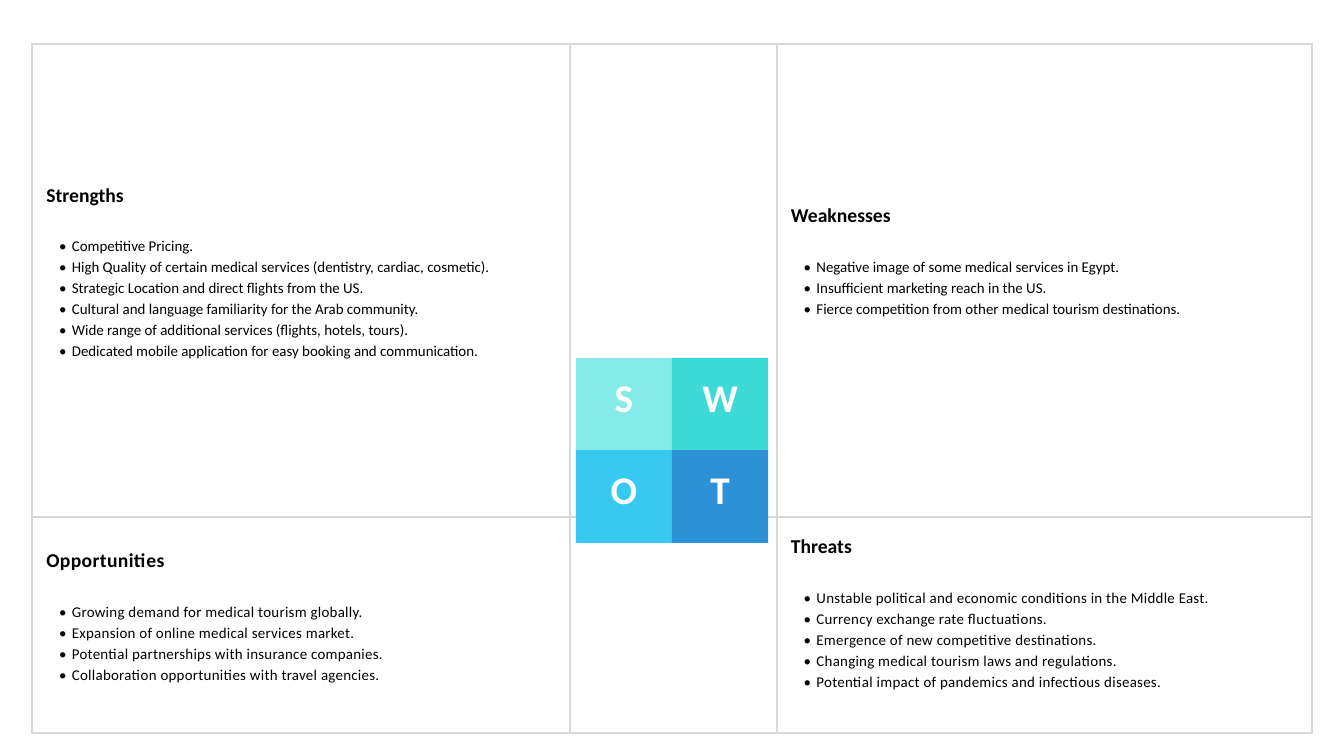
from lxml import etree
from pptx import Presentation, util as u
from pptx.dml.color import RGBColor
from pptx.enum import shapes, text
from pptx.oxml.ns import qn

FONT = "Calibri"
# Quadrants: row, column, lift above centre, heading, heading tracking,
# bullet tracking, points
QUADRANTS = [
    (0, 0, 0.15, "Strengths", 0, 0, [
        "Competitive Pricing.",
        "High Quality of certain medical services (dentistry, cardiac, cosmetic).",
        "Strategic Location and direct flights from the US.",
        "Cultural and language familiarity for the Arab community.",
        "Wide range of additional services (flights, hotels, tours).",
        "Dedicated mobile application for easy booking and communication."]),
    (0, 2, 0.31, "Weaknesses", 0, 0, [
        "Negative image of some medical services in Egypt.",
        "Insufficient marketing reach in the US.",
        "Fierce competition from other medical tourism destinations."]),
    (1, 0, 0.15, "Opportunities", 0.4, 0.3, [
        "Growing demand for medical tourism globally.",
        "Expansion of online medical services market.",
        "Potential partnerships with insurance companies.",
        "Collaboration opportunities with travel agencies."]),
    (1, 2, 0.2, "Threats", 0, 0.3, [
        "Unstable political and economic conditions in the Middle East.",
        "Currency exchange rate fluctuations.",
        "Emergence of new competitive destinations.",
        "Changing medical tourism laws and regulations.",
        "Potential impact of pandemics and infectious diseases."]),
]
TILES = [[("S", "86EAE9"), ("W", "3EDAD8")], [("O", "37C9EF"), ("T", "2C92D5")]]

COLUMNS, ROWS = [8, 3.08, 7.97], [7.04, 3.22]
TABLE_LEFT, TABLE_TOP, INSET = 0.48, 0.65, 0.21
TILE_LEFT, TILE_TOP, TILE_WIDTH, TILE_HEIGHT = 8.57, 5.33, 1.43, 1.38
TILE_PITCH = 1.37


def colour(code):
    return RGBColor.from_string(code)


def style(para, size, leading, shade="000000", bold=False, tracking=0):
    para.line_spacing = u.Pt(leading)
    font = para.font
    font.name, font.size, font.bold = FONT, u.Pt(size), bold
    font.color.rgb = colour(shade)
    if tracking:
        para._p.pPr.find(qn("a:defRPr")).set("spc", str(round(tracking * 100)))


def add_bullet(para):
    props = para._p.get_or_add_pPr()
    props.set("marL", str(u.Inches(0.38)))
    props.set("indent", str(u.Inches(-0.19)))
    etree.SubElement(props, qn("a:buFont")).set("typeface", FONT)
    etree.SubElement(props, qn("a:buChar")).set("char", "•")


def format_cell(cell):
    props = cell._tc.get_or_add_tcPr()
    for side in ("lnL", "lnR", "lnT", "lnB"):
        line = etree.SubElement(props, qn(f"a:{side}"), w=str(u.Pt(2.25)))
        fill = etree.SubElement(line, qn("a:solidFill"))
        etree.SubElement(fill, qn("a:srgbClr"), val="D9D9D9")
    cell.fill.background()
    cell.vertical_anchor = text.MSO_ANCHOR.MIDDLE
    cell.margin_left = cell.margin_right = u.Inches(INSET)
    cell.margin_top = cell.margin_bottom = u.Inches(INSET)


def fill_quadrant(cell, lift, heading, heading_tracking, bullet_tracking, points):
    cell.margin_bottom = u.Inches(INSET + 2 * lift)
    frame = cell.text_frame
    para = frame.paragraphs[0]
    para.text = heading
    style(para, 21, 29.4, bold=True, tracking=heading_tracking)
    para.space_after = u.Pt(29.4)
    for point in points:
        para = frame.add_paragraph()
        para.text = point
        add_bullet(para)
        style(para, 16, 22.4, tracking=bullet_tracking)


def add_tile(page, row, column, letter, shade):
    tile = page.shapes.add_shape(
        shapes.MSO_SHAPE.RECTANGLE,
        u.Inches(TILE_LEFT + column * TILE_WIDTH),
        u.Inches(TILE_TOP + row * TILE_PITCH),
        u.Inches(TILE_WIDTH), u.Inches(TILE_HEIGHT))
    tile.shadow.inherit = False
    tile.fill.solid()
    tile.fill.fore_color.rgb = colour(shade)
    tile.line.fill.background()
    frame = tile.text_frame
    frame.vertical_anchor = text.MSO_ANCHOR.MIDDLE
    frame.margin_left = frame.margin_right = frame.margin_top = u.Inches(0.06)
    frame.margin_bottom = u.Inches(0.42)  # lifts the letter above centre
    para = frame.paragraphs[0]
    para.text = letter
    para.alignment = text.PP_ALIGN.CENTER
    style(para, 42, 58.8, "FFFFFF", bold=True)


def main():
    deck = Presentation()
    deck.slide_width, deck.slide_height = u.Inches(20), u.Inches(11.25)
    page = deck.slides.add_slide(deck.slide_layouts[6])

    # Table frame
    table = page.shapes.add_table(
        len(ROWS), len(COLUMNS), u.Inches(TABLE_LEFT), u.Inches(TABLE_TOP),
        u.Inches(sum(COLUMNS)), u.Inches(sum(ROWS))).table
    table.first_row = table.horz_banding = False
    for column, width in zip(table.columns, COLUMNS):
        column.width = u.Inches(width)
    for row, height in zip(table.rows, ROWS):
        row.height = u.Inches(height)
    for cell in table.iter_cells():
        format_cell(cell)

    # Quadrant text
    for row, column, *content in QUADRANTS:
        fill_quadrant(table.cell(row, column), *content)

    # Letter tiles in the centre
    for row, tiles in enumerate(TILES):
        for column, (letter, shade) in enumerate(tiles):
            add_tile(page, row, column, letter, shade)

    deck.save("out.pptx")


if __name__ == "__main__":
    main()
